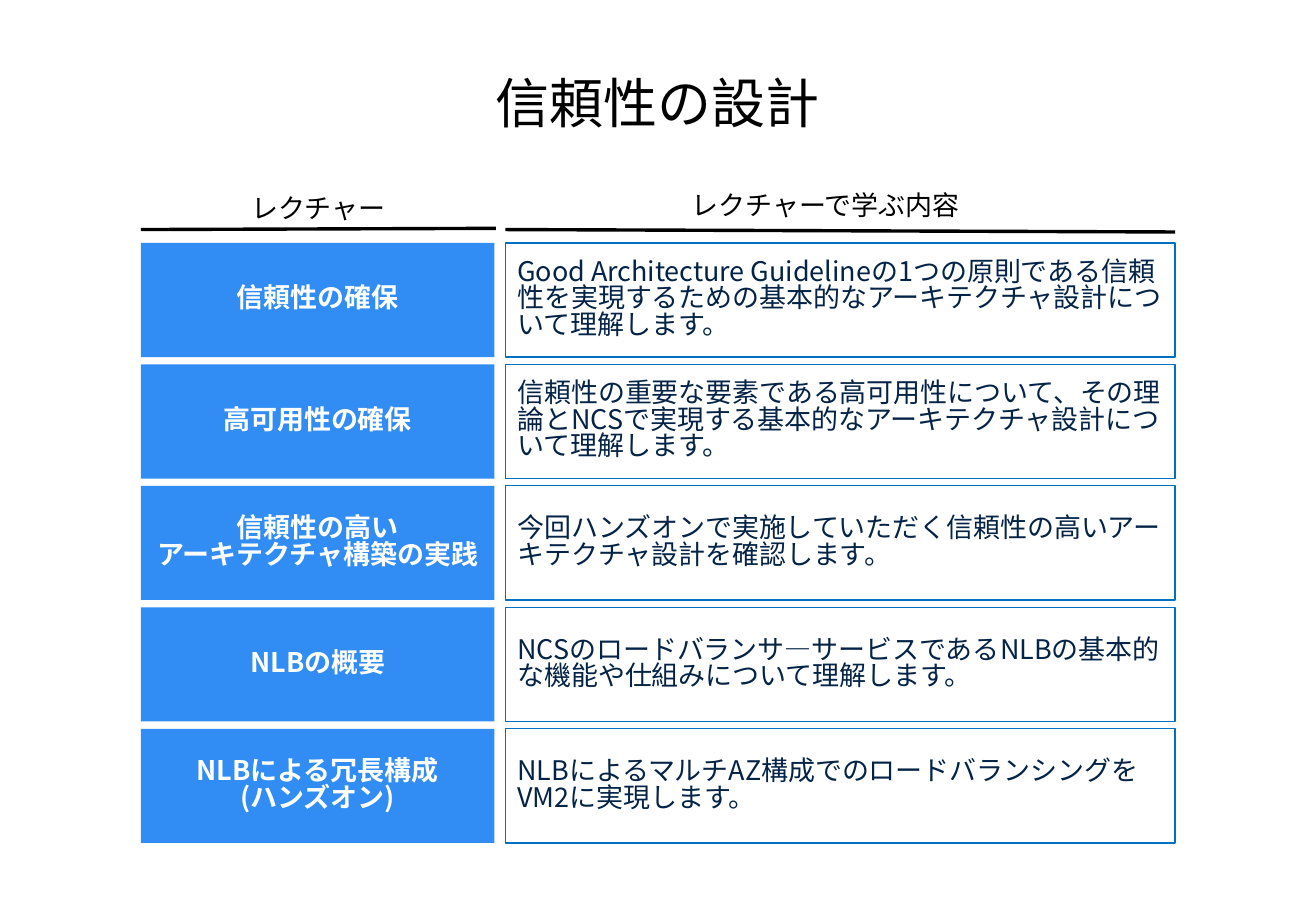
from dataclasses import dataclass

from lxml.etree import SubElement
from pptx import Presentation
from pptx.dml.color import RGBColor
from pptx.enum.shapes import MSO_CONNECTOR, MSO_SHAPE
from pptx.enum.text import MSO_ANCHOR, PP_ALIGN
from pptx.oxml.ns import qn
from pptx.slide import Slide
from pptx.text.text import TextFrame
from pptx.util import Inches, Pt

FONT = "Noto Sans CJK JP"
BLACK, WHITE, NAVY = "000000", "FFFFFF", "042346"
BLUE, BORDER = "318CF3", "0070C0"
FIRST_ROW_TOP, ROW_PITCH, ROW_HEIGHT = 2.0, 1.0, 0.94


@dataclass(frozen=True)
class Column:
    left: float
    width: float
    fill: str
    border: str | None
    text_color: str
    bold: bool
    align: PP_ALIGN


@dataclass(frozen=True)
class Heading:
    text: str
    left: float
    top: float
    width: float
    rule_start: tuple[float, float]
    rule_end: tuple[float, float]


@dataclass(frozen=True)
class Lecture:
    name: str
    content: str


LECTURE_COLUMN = Column(1.16, 2.91, BLUE, None, WHITE, True, PP_ALIGN.CENTER)
CONTENT_COLUMN = Column(4.16, 5.51, WHITE, BORDER, NAVY, False, PP_ALIGN.LEFT)

HEADINGS = [
    Heading("レクチャー", 1.96, 1.55, 1.32, (1.16, 1.89), (4.08, 1.88)),
    Heading("レクチャーで学ぶ内容", 5.57, 1.52, 2.45, (4.16, 1.89), (9.67, 1.91)),
]

LECTURES = [
    Lecture("信頼性の確保",
            "Good Architecture Guidelineの1つの原則である信頼性を実現するための"
            "基本的なアーキテクチャ設計について理解します。"),
    Lecture("高可用性の確保",
            "信頼性の重要な要素である高可用性について、その理論とNCSで実現する"
            "基本的なアーキテクチャ設計について理解します。"),
    Lecture("信頼性の高い\nアーキテクチャ構築の実践",
            "今回ハンズオンで実施していただく信頼性の高いアーキテクチャ設計を確認します。"),
    Lecture("NLBの概要",
            "NCSのロードバランサ―サービスであるNLBの基本的な機能や仕組みについて理解します。"),
    Lecture("NLBによる冗長構成\n(ハンズオン)",
            "NLBによるマルチAZ構成でのロードバランシングをVM2に実現します。"),
]


def rgb(color: str) -> RGBColor:
    return RGBColor.from_string(color)


def write(frame: TextFrame, text: str, size: float, color: str, align: PP_ALIGN,
          bold: bool = False, spacing: float = 0.82, wrap: bool = True) -> None:
    """Fill a frame with one paragraph; newlines become line breaks."""
    frame.word_wrap = wrap
    frame.vertical_anchor = MSO_ANCHOR.MIDDLE
    paragraph = frame.paragraphs[0]
    paragraph.text = text.replace("\n", "\v")
    paragraph.alignment = align
    paragraph.line_spacing = spacing
    paragraph.space_before = Pt(0)
    font_format = {"name": FONT, "size": Pt(size), "bold": bold}
    for run in paragraph.runs:
        for attribute, value in font_format.items():
            setattr(run.font, attribute, value)
        run.font.color.rgb = rgb(color)
        SubElement(run.font._element, qn("a:ea")).set("typeface", FONT)


def add_cell(slide: Slide, column: Column, top: float, text: str) -> None:
    cell = slide.shapes.add_shape(
        MSO_SHAPE.RECTANGLE, Inches(column.left), Inches(top),
        Inches(column.width), Inches(ROW_HEIGHT))
    cell.shadow.inherit = False
    cell.fill.solid()
    cell.fill.fore_color.rgb = rgb(column.fill)
    if column.border:
        cell.line.color.rgb = rgb(column.border)
        cell.line.width = Pt(0.75)
    else:
        cell.line.fill.background()
    write(cell.text_frame, text, 16, column.text_color, column.align, column.bold)


def add_heading(slide: Slide, heading: Heading) -> None:
    label = slide.shapes.add_textbox(
        Inches(heading.left), Inches(heading.top), Inches(heading.width), Inches(0.37))
    write(label.text_frame, heading.text, 16, BLACK, PP_ALIGN.CENTER, wrap=False)
    ends = [Inches(value) for value in (*heading.rule_start, *heading.rule_end)]
    rule = slide.shapes.add_connector(MSO_CONNECTOR.STRAIGHT, *ends)
    rule.line.color.rgb = rgb(BLACK)
    rule.line.width = Pt(2)
    SubElement(rule._element.spPr, qn("a:effectLst"))


def main() -> None:
    presentation = Presentation()
    presentation.slide_width = Inches(10.83)
    presentation.slide_height = Inches(7.5)
    slide = presentation.slides.add_slide(presentation.slide_layouts[5])

    title = slide.shapes.title
    placement = {"left": 0.69, "top": 0.6, "width": 9.45, "height": 0.55}
    for attribute, value in placement.items():
        setattr(title, attribute, Inches(value))
    write(title.text_frame, "信頼性の設計", 32, BLACK, PP_ALIGN.CENTER, spacing=0.9)

    for heading in HEADINGS:
        add_heading(slide, heading)
    for row, lecture in enumerate(LECTURES):
        top = FIRST_ROW_TOP + row * ROW_PITCH
        add_cell(slide, LECTURE_COLUMN, top, lecture.name)
        add_cell(slide, CONTENT_COLUMN, top, lecture.content)

    presentation.save("out.pptx")


if __name__ == "__main__":
    main()
